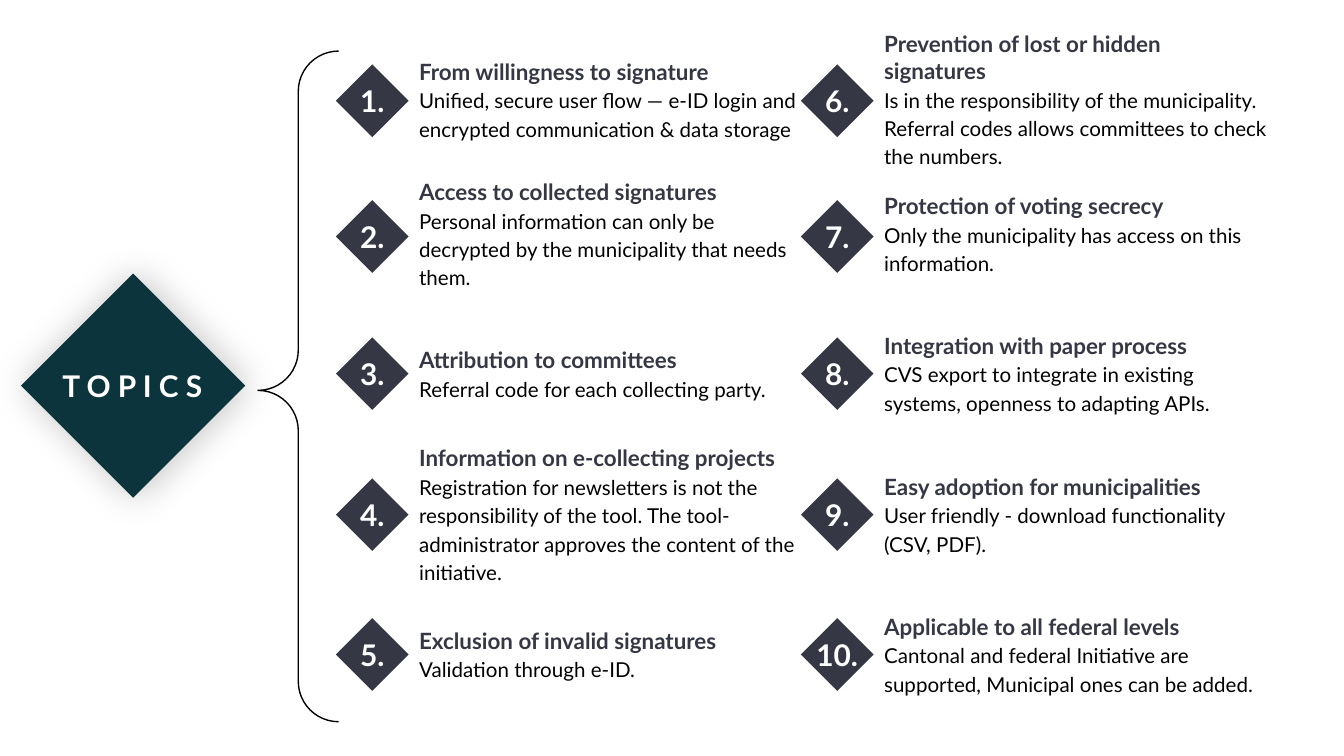
from dataclasses import dataclass

from lxml.etree import SubElement
from pptx import Presentation
from pptx.dml.color import RGBColor
from pptx.enum.shapes import MSO_SHAPE
from pptx.enum.text import MSO_ANCHOR, PP_ALIGN
from pptx.oxml.ns import qn
from pptx.shapes.autoshape import Shape
from pptx.slide import Slide
from pptx.text.text import _Paragraph as Paragraph
from pptx.util import Inches, Pt

TEAL = RGBColor(0x0C, 0x34, 0x3D)
SLATE = RGBColor(0x35, 0x37, 0x44)
WHITE = RGBColor(0xFF, 0xFF, 0xFF)
BLACK = RGBColor(0x00, 0x00, 0x00)

# Grid in inches: two columns of five rows
SLIDE_WIDTH = 10
SLIDE_HEIGHT = SLIDE_WIDTH * 9 / 16
COLUMN_CENTERS = (2.77, 6.23)
ROW_CENTERS = (0.75, 1.76, 2.78, 3.83, 4.87)
TEXT_TOPS = (0.37, 1.37, 2.41, 3.46, 4.5)
DIAMOND_SIZE = 0.54
NUMBER_SIZE = (0.6, 0.31)
TEXT_SIZE = (Pt(220).inches, 0.74)
TEXT_OFFSET = 0.25

FORMATS = {
    "label": {"size": Pt(16), "bold": True, "color": WHITE},
    "title": {"size": Pt(12), "bold": True, "color": SLATE},
    "body": {"size": Pt(11), "bold": False, "color": BLACK},
}


@dataclass(frozen=True)
class Box:
    left: float
    top: float
    width: float
    height: float

    @classmethod
    def centered(cls, x: float, y: float, width: float, height: float) -> "Box":
        return cls(x - width / 2, y - height / 2, width, height)

    def lengths(self) -> tuple:
        return tuple(Inches(value) for value in (self.left, self.top, self.width, self.height))


@dataclass(frozen=True)
class Topic:
    title: str
    body: str


TOPICS = (
    Topic("From willingness to signature",
          "Unified, secure user flow — e-ID login and encrypted communication & data storage"),
    Topic("Access to collected signatures",
          "Personal information can only be decrypted by the municipality that needs them."),
    Topic("Attribution to committees", "Referral code for each collecting party."),
    Topic("Information on e-collecting projects",
          "Registration for newsletters is not the responsibility of the tool. "
          "The tool-administrator approves the content of the initiative."),
    Topic("Exclusion of invalid signatures", "Validation through e-ID."),
    Topic("Prevention of lost or hidden signatures",
          "Is in the responsibility of the municipality. "
          "Referral codes allows committees to check the numbers."),
    Topic("Protection of voting secrecy",
          "Only the municipality has access on this information."),
    Topic("Integration with paper process",
          "CVS export to integrate in existing systems, openness to adapting APIs."),
    Topic("Easy adoption for municipalities",
          "User friendly - download functionality (CSV, PDF)."),
    Topic("Applicable to all federal levels",
          "Cantonal and federal Initiative are supported, Municipal ones can be added."),
)


def add_filled_shape(slide: Slide, kind: MSO_SHAPE, box: Box, color: RGBColor) -> Shape:
    shape = slide.shapes.add_shape(kind, *box.lengths())
    shape.shadow.inherit = False
    shape.fill.solid()
    shape.fill.fore_color.rgb = color
    shape.line.fill.background()
    return shape


def write(paragraph: Paragraph, text: str, style: str) -> None:
    run = paragraph.add_run()
    run.text = text
    run.font.name = "Lato"
    for name, value in FORMATS[style].items():
        if name == "color":
            run.font.color.rgb = value
        else:
            setattr(run.font, name, value)


def add_text_box(slide: Slide, box: Box) -> Shape:
    text_box = slide.shapes.add_textbox(*box.lengths())
    settings = {"word_wrap": True, "vertical_anchor": MSO_ANCHOR.MIDDLE}
    settings |= {f"margin_{side}": Inches(0.1) for side in ("left", "right", "top", "bottom")}
    for name, value in settings.items():
        setattr(text_box.text_frame, name, value)
    return text_box


def add_label(slide: Slide, box: Box, text: str) -> None:
    paragraph = add_text_box(slide, box).text_frame.paragraphs[0]
    paragraph.alignment = PP_ALIGN.CENTER
    write(paragraph, text, "label")


def add_soft_shadow(shape: Shape) -> None:
    effects = shape._element.spPr.find(qn("a:effectLst"))
    shadow = SubElement(effects, qn("a:outerShdw"), blurRad=str(Pt(20.2)),
                        dist=str(Pt(1.5)), dir="0", algn="ctr", rotWithShape="0")
    color = SubElement(shadow, qn("a:srgbClr"), val=str(BLACK))
    SubElement(color, qn("a:alpha"), val="24000")


def add_brace(slide: Slide, box: Box) -> None:
    brace = slide.shapes.add_shape(MSO_SHAPE.RIGHT_BRACE, *box.lengths())
    brace.shadow.inherit = False
    brace.fill.background()
    brace.line.color.rgb = BLACK
    brace.line.width = Pt(0.75)
    brace.adjustments[0] = 0.5
    brace.adjustments[1] = 0.506
    brace._element.spPr.find(qn("a:xfrm")).set("flipH", "1")


def add_topic(slide: Slide, number: int, topic: Topic) -> None:
    column, row = divmod(number - 1, len(ROW_CENTERS))
    x, y = COLUMN_CENTERS[column], ROW_CENTERS[row]

    # Title and explanation
    frame = add_text_box(slide, Box(x + TEXT_OFFSET, TEXT_TOPS[row], *TEXT_SIZE)).text_frame
    write(frame.paragraphs[0], topic.title, "title")
    body = frame.add_paragraph()
    body.line_spacing = 1.15
    write(body, topic.body, "body")

    # Numbered diamond
    add_filled_shape(slide, MSO_SHAPE.FLOWCHART_DECISION,
                     Box.centered(x, y, DIAMOND_SIZE, DIAMOND_SIZE), SLATE)
    add_label(slide, Box.centered(x, y, *NUMBER_SIZE), f"{number}.")


def main() -> None:
    presentation = Presentation()
    presentation.slide_width = Inches(SLIDE_WIDTH)
    presentation.slide_height = Inches(SLIDE_HEIGHT)
    slide = presentation.slides.add_slide(presentation.slide_layouts[6])

    # Heading diamond
    heading = add_filled_shape(slide, MSO_SHAPE.RECTANGLE, Box(0.4, 2.28, 1.18, 1.18), TEAL)
    heading.rotation = 45
    add_soft_shadow(heading)
    add_label(slide, Box(0.25, 2.6, 1.47, 0.54), "T O P I C S")

    # Brace and the topics it opens to
    add_brace(slide, Box(1.92, 0.38, 0.6, 4.99))
    for number, topic in enumerate(TOPICS, start=1):
        add_topic(slide, number, topic)

    presentation.save("out.pptx")


if __name__ == "__main__":
    main()
